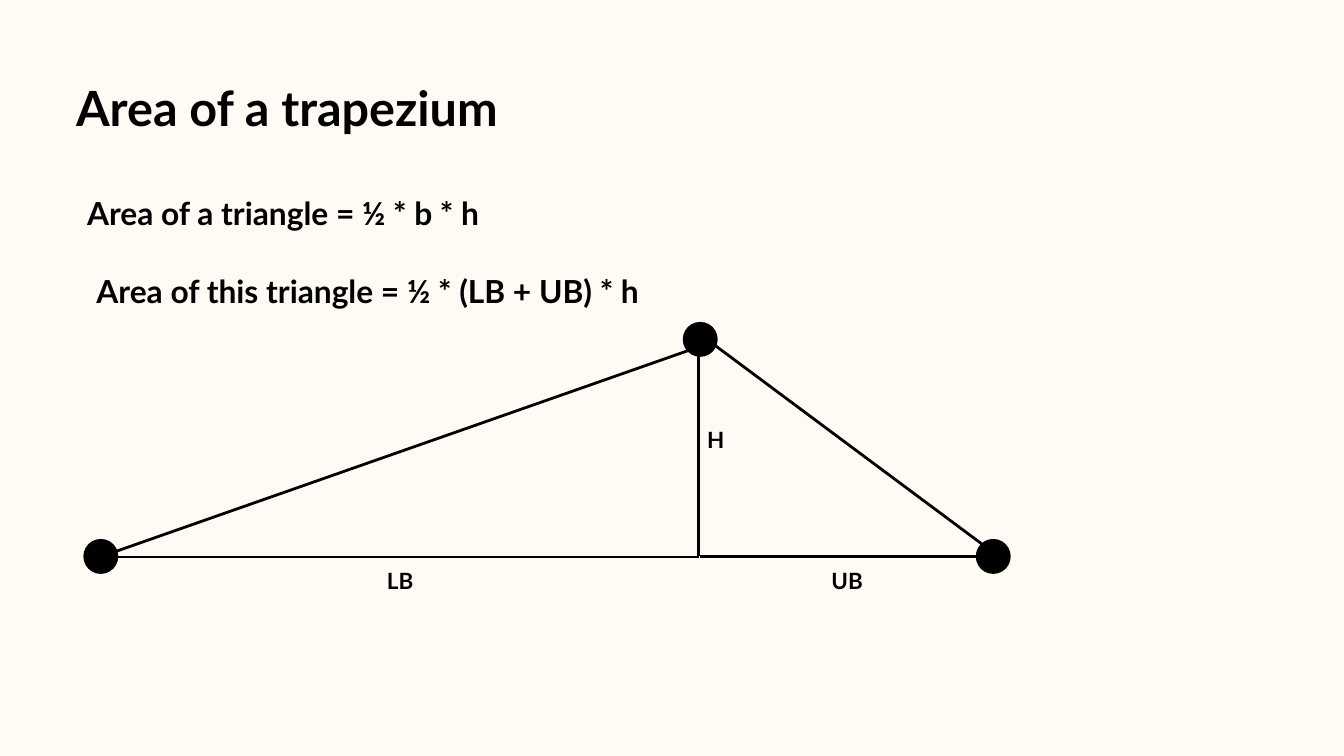
from lxml.etree import SubElement
from pptx import Presentation
from pptx.dml.color import RGBColor
from pptx.enum.shapes import MSO_CONNECTOR as CONN, MSO_SHAPE as SHAPE
from pptx.enum.text import MSO_ANCHOR as ANCHOR, MSO_AUTO_SIZE as AUTO, PP_ALIGN as ALIGN
from pptx.oxml.ns import qn
from pptx.util import Emu, Pt

PX = 9144


def px(n):
    return Emu(n * PX)


def color(h):
    return RGBColor.from_string(h)


class Deck:
    """Style and current slide, with a method for each kind of element."""

    font, ink, paper = "Lato", "000000", "FFFAF4"
    line_width, dot_size = 3, 52

    def __init__(self, width, height):
        self.prs = Presentation()
        self.prs.slide_width, self.prs.slide_height = px(width), px(height)
        self.s = self.prs.slides.add_slide(self.prs.slide_layouts[5])
        fill = self.s.background.fill
        fill.solid()
        fill.fore_color.rgb = color(self.paper)

    def set_text(self, sp, text, size):
        tf = sp.text_frame
        tf.text = text
        tf.word_wrap = True
        tf.auto_size = AUTO.NONE
        tf.vertical_anchor = ANCHOR.TOP
        tf.margin_left = tf.margin_top = tf.margin_right = tf.margin_bottom = 0
        p = tf.paragraphs[0]
        p.alignment = ALIGN.CENTER
        p.line_spacing = Pt(size * 1.4)
        font = p.runs[0].font
        font.name, font.size, font.bold = self.font, Pt(size), True
        font.color.rgb = color(self.ink)

    def title(self, text, x, y, w, h, size):
        sp = self.s.shapes.title
        sp.left, sp.top, sp.width, sp.height = px(x), px(y), px(w), px(h)
        self.set_text(sp, text, size)

    def text(self, text, x, y, w, h, size):
        sp = self.s.shapes.add_textbox(px(x), px(y), px(w), px(h))
        self.set_text(sp, text, size)

    def line(self, x1, y1, x2, y2):
        c = self.s.shapes.add_connector(CONN.STRAIGHT, px(x1), px(y1), px(x2), px(y2))
        c.line.color.rgb = color(self.ink)
        c.line.width = Pt(self.line_width)
        SubElement(c._element.spPr, qn("a:effectLst"))

    def dot(self, cx, cy):
        d = self.dot_size
        sp = self.s.shapes.add_shape(SHAPE.OVAL, px(cx - d // 2), px(cy - d // 2), px(d), px(d))
        sp.shadow.inherit = False
        sp.fill.solid()
        sp.fill.fore_color.rgb = color(self.ink)
        sp.line.fill.background()


def main():
    deck = Deck(2000, 1125)
    deck.title("Area of a trapezium", 84, 102, 686, 97, 52)

    apex_y, base_y, foot_x = 505, 828, 1040
    left_x, right_x, apex_x = 150, 1478, 1042
    deck.line(foot_x, apex_y, foot_x, base_y)
    deck.line(1060, 511, 1486, base_y)
    deck.line(1029, 520, 174, 820)
    deck.line(apex_x, base_y, right_x, base_y)
    deck.line(left_x, base_y + 1, foot_x, base_y + 1)
    for x, y in ((right_x, base_y), (left_x, base_y), (apex_x, apex_y)):
        deck.dot(x, y)

    for label, x, y, w in (("LB", 574, 838, 43), ("UB", 1236, 838, 49), ("H", 1052, 628, 26)):
        deck.text(label, x, y, w, 43, 24)

    deck.text("Area of a triangle = ½ * b * h ", 105, 279, 644, 63, 34)
    deck.text("Area of this triangle = ½ * (LB + UB) * h ", 66, 395, 974, 63, 34)
    deck.prs.save("out.pptx")


if __name__ == "__main__":
    main()
